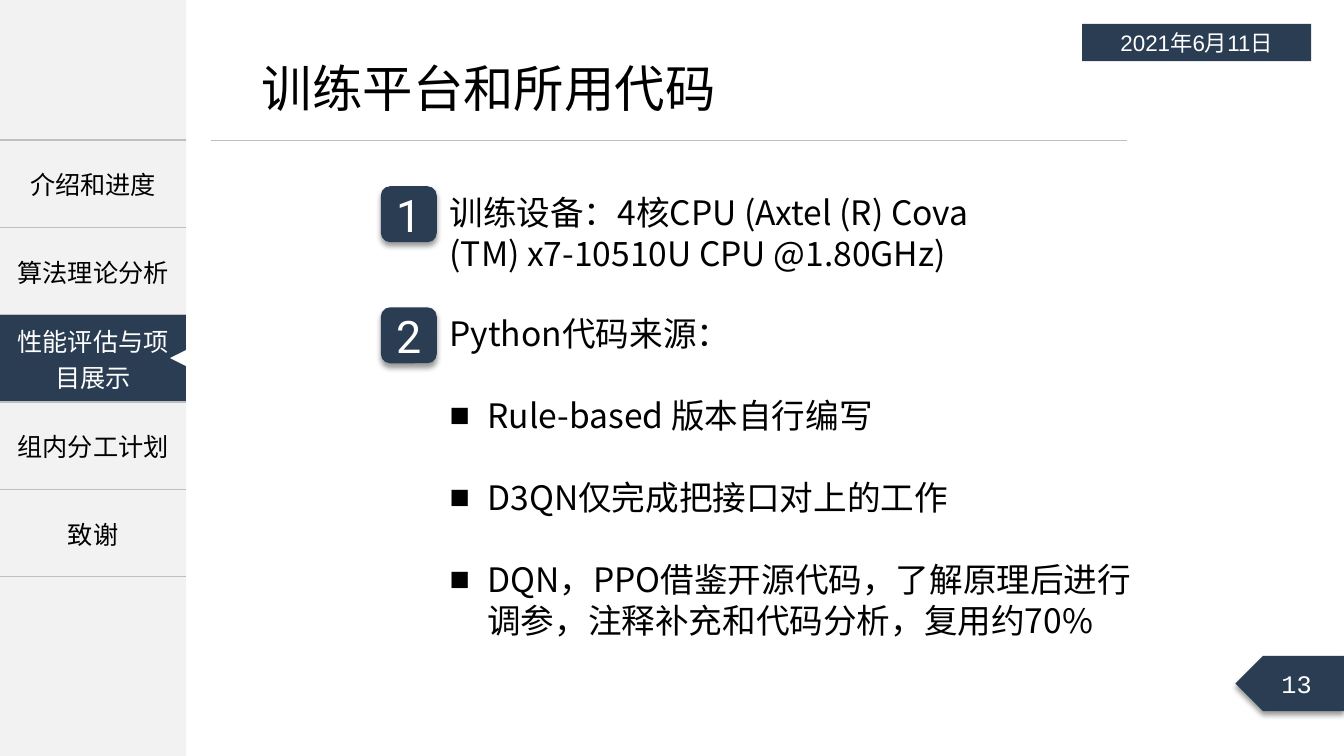
from lxml.etree import SubElement
from pptx import Presentation
from pptx.dml.color import RGBColor
from pptx.enum.shapes import MSO_CONNECTOR, MSO_SHAPE
from pptx.enum.text import MSO_ANCHOR, PP_ALIGN
from pptx.oxml import parse_xml
from pptx.oxml.ns import nsdecls, qn
from pptx.util import Pt

COLORS = {"navy": "2A3D52", "panel": "F2F2F2", "rule": "BFBFBF",
          "white": "FFFFFF", "black": "000000"}
CJK = "Noto Sans CJK SC"
LINE = 1.22


class Deck:
    """Holds the style and current slide, and draws each kind of element."""

    def __init__(self, prs):
        self.s = prs.slides.add_slide(prs.slide_layouts[6])

    def color(self, name):
        return RGBColor.from_string(COLORS[name])

    def run(self, p, text, size, color="black", font=CJK):
        r = p.add_run()
        r.text = text
        r.font.size = Pt(size)
        r.font.name = font
        r.font.color.rgb = self.color(color)
        SubElement(r.font._element, qn("a:ea")).set("typeface", CJK)

    def shape(self, kind, x, y, w, h, fill, raised=False):
        sp = self.s.shapes.add_shape(kind, Pt(x), Pt(y), Pt(w), Pt(h))
        sp.fill.solid()
        sp.fill.fore_color.rgb = self.color(fill)
        sp.line.fill.background()
        sp.shadow.inherit = False
        if raised:
            effects = sp._element.spPr.find(qn("a:effectLst"))
            effects.append(parse_xml(
                f'<a:outerShdw {nsdecls("a")} blurRad="{Pt(4)}" dist="{Pt(3)}" '
                'dir="5400000" algn="t" rotWithShape="0"><a:srgbClr '
                f'val="{COLORS["black"]}"><a:alpha val="40000"/></a:srgbClr>'
                '</a:outerShdw>'))
        return sp

    def label(self, sp, text, size, font, anchor=MSO_ANCHOR.MIDDLE):
        tf = sp.text_frame
        tf.vertical_anchor = anchor
        p = tf.paragraphs[0]
        p.alignment = PP_ALIGN.CENTER
        self.run(p, text, size, "white", font)

    def badge(self, y, number):
        sp = self.shape(MSO_SHAPE.ROUNDED_RECTANGLE, 272, y, 40, 40, "navy", True)
        self.label(sp, number, 32, "Roboto")

    def text(self, x, y, w, h, lead, size, bullets=(), wrap=True):
        tf = self.s.shapes.add_textbox(Pt(x), Pt(y), Pt(w), Pt(h)).text_frame
        tf.word_wrap = wrap
        p = tf.paragraphs[0]
        p.line_spacing = Pt(size * LINE)
        self.run(p, lead, size)
        for item in bullets:
            p = tf.add_paragraph()
            p.line_spacing = p.space_before = Pt(size * LINE)
            pPr = p._p.get_or_add_pPr()
            pPr.set("marL", str(Pt(27)))
            pPr.set("indent", str(Pt(-27)))
            SubElement(pPr, qn("a:buFont")).set("typeface", "Arial")
            SubElement(pPr, qn("a:buChar")).set("char", "■")
            self.run(p, item, size)

    def rule(self, x1, x2, y):
        ln = self.s.shapes.add_connector(
            MSO_CONNECTOR.STRAIGHT, Pt(x1), Pt(y), Pt(x2), Pt(y))
        ln.line.color.rgb = self.color("rule")
        ln.line.width = Pt(0.5)
        SubElement(ln._element.spPr, qn("a:effectLst"))

    def border(self, cell):
        tcPr = cell._tc.get_or_add_tcPr()
        for side in ("lnL", "lnR"):
            SubElement(SubElement(tcPr, qn(f"a:{side}")), qn("a:noFill"))
        for side in ("lnT", "lnB"):
            ln = SubElement(tcPr, qn(f"a:{side}"), w=str(Pt(1)))
            fill = SubElement(ln, qn("a:solidFill"))
            SubElement(fill, qn("a:srgbClr")).set("val", COLORS["rule"])

    def menu(self, y, w, row_h, items, active):
        tbl = self.s.shapes.add_table(
            len(items), 1, Pt(0), Pt(y), Pt(w), Pt(row_h * len(items))).table
        tbl.first_row = tbl.horz_banding = False
        for i, item in enumerate(items):
            cell = tbl.cell(i, 0)
            self.border(cell)
            cell.fill.solid()
            cell.fill.fore_color.rgb = self.color("navy" if i == active else "panel")
            cell.vertical_anchor = MSO_ANCHOR.MIDDLE
            p = cell.text_frame.paragraphs[0]
            p.alignment = PP_ALIGN.CENTER
            self.run(p, item, 18, "white" if i == active else "black")


def main():
    prs = Presentation()
    prs.slide_width, prs.slide_height = Pt(960), Pt(540)
    deck = Deck(prs)

    deck.shape(MSO_SHAPE.RECTANGLE, 0, 0, 133, 540, "panel")
    deck.menu(100, 133, 62.4, ["介绍和进度", "算法理论分析", "性能评估与项目展示",
                               "组内分工计划", "致谢"], 2)
    deck.rule(150.5, 805, 100)
    page = deck.shape(MSO_SHAPE.PENTAGON, 882.5, 468.5, 77.5, 39.5, "navy", True)
    page._element.spPr.find(qn("a:xfrm")).set("flipH", "1")
    deck.label(page, "13", 18, "Courier New")
    notch = deck.shape(MSO_SHAPE.ISOSCELES_TRIANGLE, 121.5, 250, 11.5, 11.5, "white")
    notch.rotation = 270

    deck.text(180, 36.5, 342, 51, "训练平台和所用代码", 36, wrap=False)
    deck.badge(133, "1")
    deck.text(314, 133, 428.5, 65.5,
              "训练设备：4核CPU (Axtel (R) Cova (TM) x7-10510U CPU @1.80GHz)", 24)
    deck.badge(219.5, "2")
    deck.text(314, 219.5, 521.5, 240, "Python代码来源：", 24, [
        "Rule-based 版本自行编写",
        "D3QN仅完成把接口对上的工作",
        "DQN，PPO借鉴开源代码，了解原理后进行调参，注释补充和代码分析，复用约70%"])
    date = deck.shape(MSO_SHAPE.RECTANGLE, 773, 17, 163.5, 26.7, "navy")
    deck.label(date, "2021年6月11日", 16, "Arial", MSO_ANCHOR.TOP)

    prs.save("out.pptx")


if __name__ == "__main__":
    main()
